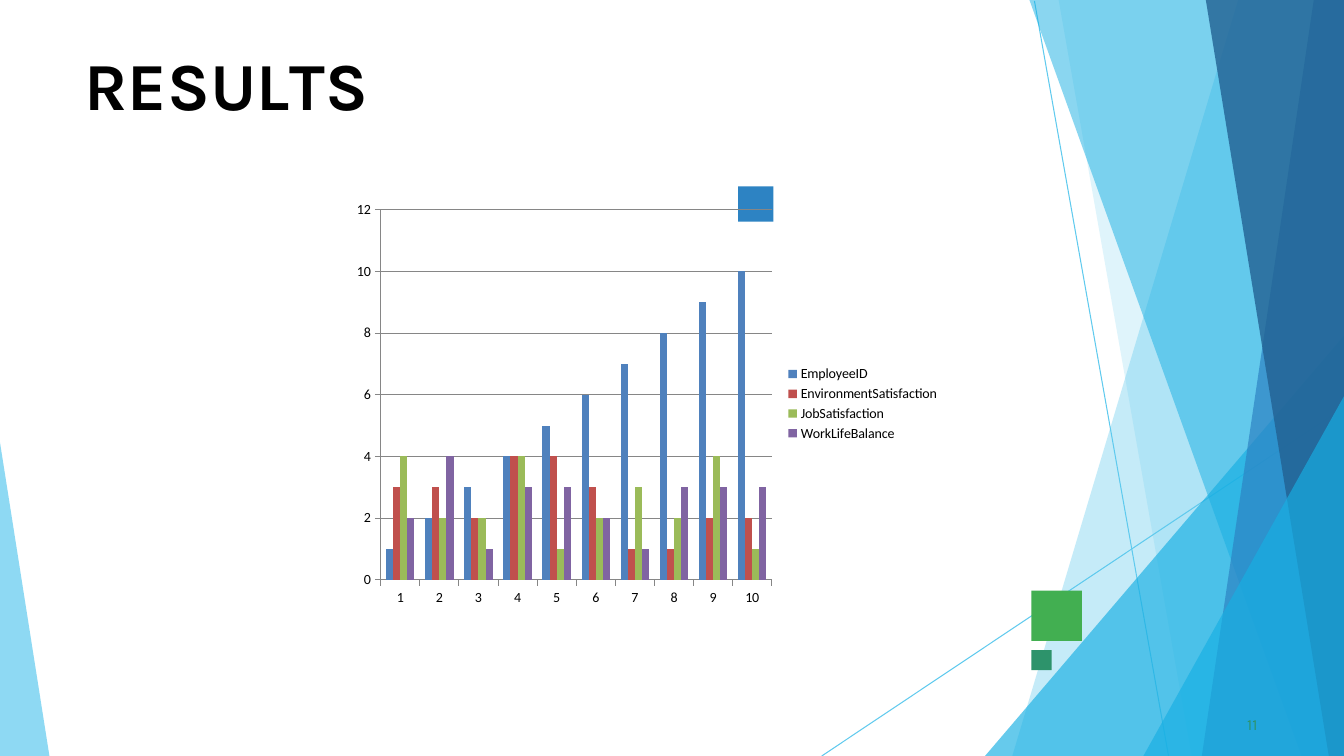
from lxml import etree
from pptx import Presentation
from pptx.chart.data import CategoryChartData
from pptx.dml.color import RGBColor
from pptx.enum.chart import XL_CHART_TYPE, XL_LEGEND_POSITION, XL_TICK_MARK
from pptx.enum.shapes import MSO_CONNECTOR, MSO_SHAPE
from pptx.oxml.ns import qn
from pptx.util import Inches, Pt

COLUMNS = XL_CHART_TYPE.COLUMN_CLUSTERED
LEGEND_RIGHT = XL_LEGEND_POSITION.RIGHT
TICK_OUT = XL_TICK_MARK.OUTSIDE
STRAIGHT = MSO_CONNECTOR.STRAIGHT
RECTANGLE = MSO_SHAPE.RECTANGLE

WIDTH, HEIGHT = 13.33, 7.5
COLORS = {
    "black": "000000", "sky": "5FCAEE", "cyan": "17AFE3", "blue": "2D83C3",
    "navy": "226192", "green": "42AF51", "teal": "2D936B", "axis": "868686",
}
# start, end
RAYS = [
    ((10.26, 0.01), (11.59, HEIGHT)),
    ((WIDTH, 4.04), (8.15, HEIGHT)),
]
# top x, bottom x, color, opacity in percent; each band runs to the right edge
BANDS = [
    (12.28, 10.04, "sky", 36),
    (10.5, 11.82, "sky", 20),
    (WIDTH, 9.77, "cyan", 66, 3.33),
    (10.21, 12.91, "cyan", 50),
    (13.03, 11.92, "blue", 70),
    (11.96, 13.18, "navy", 80),
    (WIDTH, 11.34, "cyan", 66, 3.93),
]
LEFT_WEDGE = [(0, 4.39), (0, HEIGHT), (0.49, HEIGHT)]
# left, top, side, color
SQUARES = [
    (10.23, 5.86, 0.5, "green"),
    (7.32, 1.85, 0.35, "blue"),
    (10.23, 6.45, 0.2, "teal"),
]
# letters, spacing in points
TITLE = [("R", 0), ("E", -0.4), ("S", 0.1), ("U", -0.3), ("L", -4), ("TS", 0)]
PAGE_NUMBER = [("11", 0.1)]
SERIES = {
    "EmployeeID": ("4F81BD", range(1, 11)),
    "EnvironmentSatisfaction": ("C0504D", [3, 3, 2, 4, 4, 3, 1, 1, 2, 2]),
    "JobSatisfaction": ("9BBB59", [4, 2, 2, 4, 1, 2, 3, 2, 4, 1]),
    "WorkLifeBalance": ("8064A2", [2, 4, 1, 3, 3, 2, 1, 3, 3, 3]),
}


def color(name):
    return RGBColor.from_string(COLORS[name])


def paint(shape, name, opacity=100):
    shape.shadow.inherit = False
    shape.fill.solid()
    shape.fill.fore_color.rgb = color(name)
    shape.line.fill.background()
    if opacity < 100:
        tint = shape.fill._xPr.find(qn("a:solidFill"))[0]
        etree.SubElement(tint, qn("a:alpha")).set("val", str(opacity * 1000))


def add_ray(page, start, end):
    ray = page.shapes.add_connector(STRAIGHT, *map(Inches, start + end))
    ray.line.color.rgb = color("sky")
    ray.line.width = Pt(0.75)
    etree.SubElement(ray._element.spPr, qn("a:effectLst"))


def add_polygon(page, points, name, opacity):
    corners = [(Inches(x), Inches(y)) for x, y in points]
    builder = page.shapes.build_freeform(*corners[0], scale=1.0)
    builder.add_line_segments(corners[1:], close=True)
    paint(builder.convert_to_shape(), name, opacity)


def add_band(page, top_x, bottom_x, name, opacity, top=0):
    points = [(top_x, top), (bottom_x, HEIGHT), (WIDTH, HEIGHT)]
    if top_x < WIDTH:
        points.append((WIDTH, top))
    add_polygon(page, points, name, opacity)


def add_text(page, place, pieces, size, name, bold, indent, space_before):
    """Add one line of text whose pieces have their own letter spacing."""
    box = page.shapes.add_textbox(*map(Inches, place))
    frame = box.text_frame
    frame.word_wrap = True
    frame.margin_left = frame.margin_right = frame.margin_bottom = 0
    frame.margin_top = Inches(0.01)
    para = frame.paragraphs[0]
    para.space_before = Pt(space_before)
    para._p.get_or_add_pPr().set("marL", str(Inches(indent)))
    for letters, spacing in pieces:
        span = para.add_run()
        span.text = letters
        span.font.name = "Karla"
        span.font.size = Pt(size)
        span.font.bold = bold
        span.font.color.rgb = color(name)
        span._r.get_or_add_rPr().set("spc", str(round(spacing * 100)))


def add_results_chart(page):
    data = CategoryChartData()
    data.categories = [str(number) for number in range(1, 11)]
    for name, (_, values) in SERIES.items():
        data.add_series(name, values)
    place = map(Inches, (3.42, 1.92, 6, 4.17))
    chart = page.shapes.add_chart(COLUMNS, *place, data).chart
    chart.has_title = False
    chart.font.name = "Calibri"
    chart.font.size = Pt(10)
    chart.font.color.rgb = color("black")
    chart.has_legend = True
    chart.legend.position = LEGEND_RIGHT
    chart.legend.include_in_layout = False
    plot = chart.plots[0]
    plot.vary_by_categories = False
    plot.gap_width = 150
    plot.overlap = 0
    for series, (fill, _) in zip(plot.series, SERIES.values()):
        series.format.fill.solid()
        series.format.fill.fore_color.rgb = RGBColor.from_string(fill)
    scale = chart.value_axis
    scale.minimum_scale, scale.maximum_scale, scale.major_unit = 0, 12, 2
    scale.has_major_gridlines = True
    for axis in (chart.category_axis, scale):
        axis.major_tick_mark = TICK_OUT
    for part in (chart.category_axis, scale, scale.major_gridlines):
        part.format.line.color.rgb = color("axis")
        part.format.line.width = Pt(0.75)


def main():
    deck = Presentation()
    deck.slide_width, deck.slide_height = Inches(WIDTH), Inches(HEIGHT)
    page = deck.slides.add_slide(deck.slide_layouts[6])
    for ray in RAYS:
        add_ray(page, *ray)
    for band in BANDS:
        add_band(page, *band)
    add_polygon(page, LEFT_WEDGE, "sky", 70)
    for left, top, side, name in SQUARES:
        place = map(Inches, (left, top, side, side))
        paint(page.shapes.add_shape(RECTANGLE, *place), name)
    add_text(page, (0.83, 0.42, 11.68, 0.83), TITLE, 48, "black", True, 0.01, 1.1)
    add_text(page, (12.33, 7.08, 0.25, 0.21), PAGE_NUMBER, 11, "teal", False, 0.04, 0.6)
    add_results_chart(page)
    deck.save("out.pptx")


if __name__ == "__main__":
    main()
